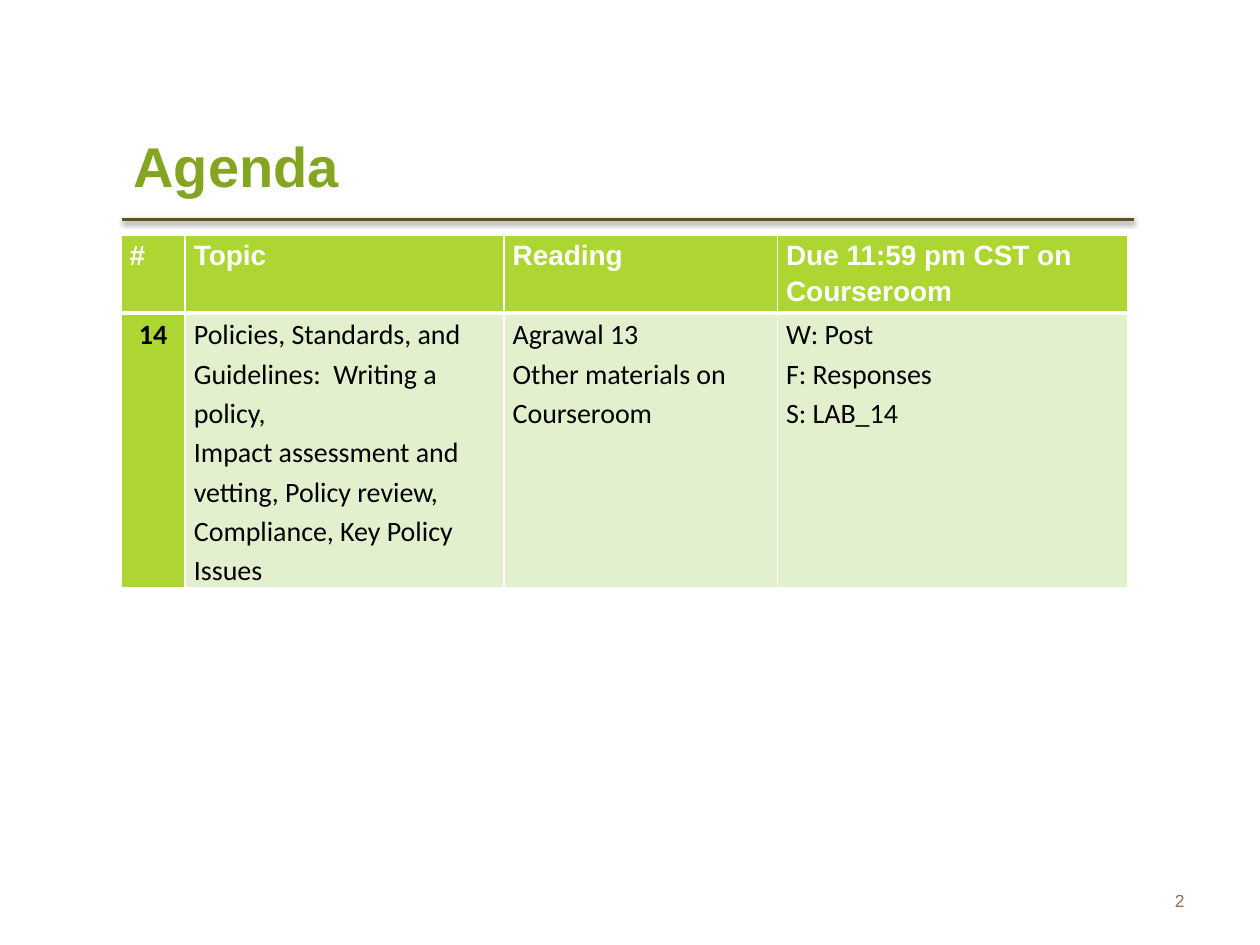
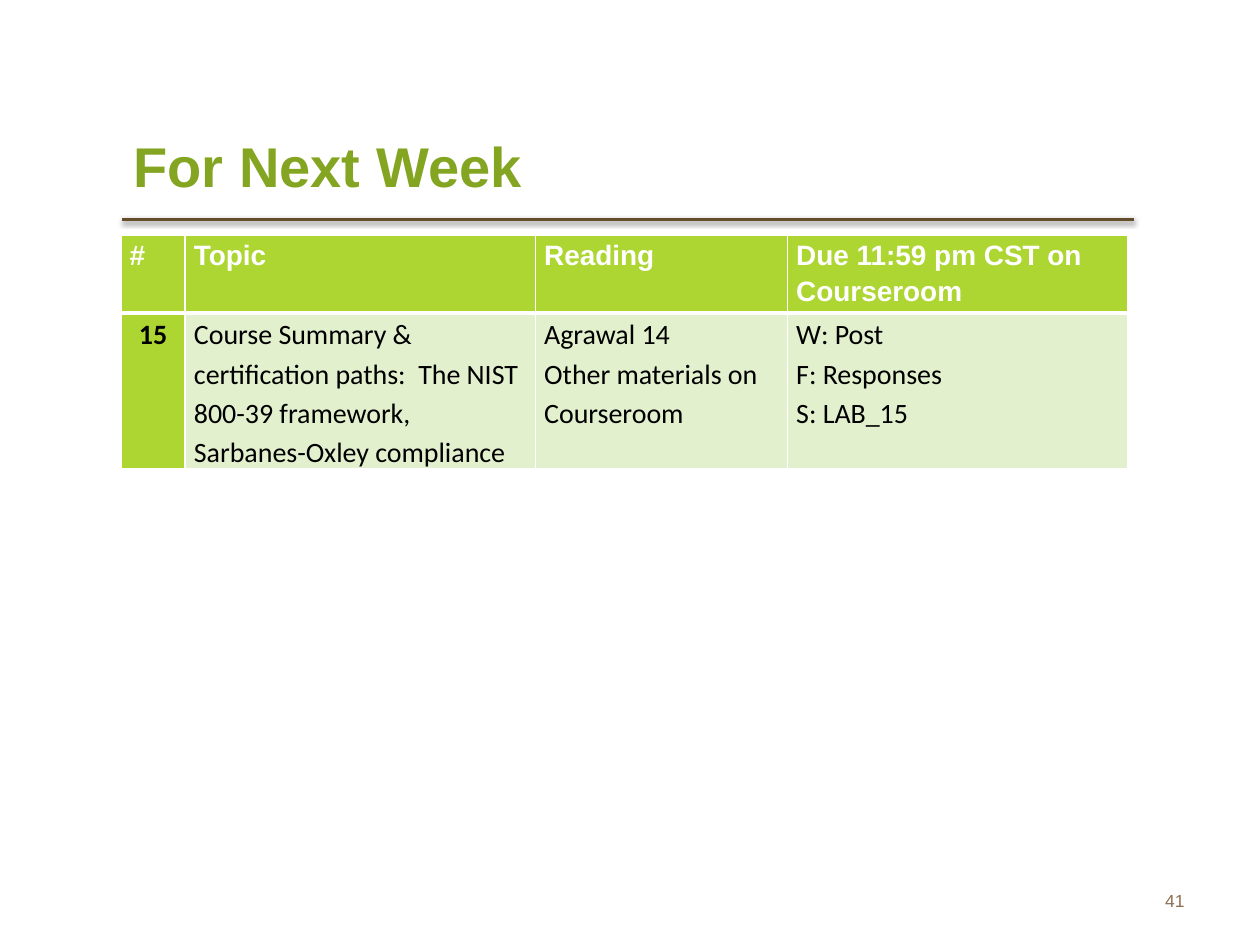
from lxml.etree import SubElement as Sub
from pptx import Presentation
from pptx.dml.color import RGBColor as RGB
from pptx.enum.shapes import MSO_CONNECTOR as Conn
from pptx.enum.text import MSO_ANCHOR as Anchor, PP_ALIGN as Align
from pptx.oxml.ns import qn
from pptx.util import Inches, Pt

# Shared colours and text styles
WHITE, LIME, PALE, BROWN = "FFFFFF", "ADD632", "E3F0CE", "634D2A"
TITLE = dict(name="Arial", size=Pt(32), bold=True, color="84A521")
NUMBER = dict(name="Arial", size=Pt(10), color="8F6F52")
HEAD = dict(name="Arial", size=Pt(16), bold=True, color=WHITE)
BODY = dict(name="Calibri", size=Pt(16), bold=False, color="000000")
WEEK = {**BODY, "bold": True}

# Shared places: left, top, width, height
TITLE_BOX = (0.96, 0.86, 5.77, 0.9)
RULE_BOX = (0.97, 1.74, 8.03, 0)
NUMBER_BOX = (7.17, 6.95, 2.33, 0.4)
TABLE_AT = (0.96, 1.87)
HEAD_HIGH = 0.56

HEADS = ["#", "Topic", "Reading", "Due 11:59 pm CST on Courseroom"]
SLIDES = [
    dict(title="Agenda", page="2", cols=[0.51, 2.53, 2.17, 2.78], high=2.18,
         row=["14",
              "Policies, Standards, and Guidelines:  Writing a policy,\n"
              "Impact assessment and vetting, Policy review, "
              "Compliance, Key Policy Issues",
              "Agrawal 13\nOther materials on Courseroom",
              "W: Post\nF: Responses\nS: LAB_14"]),
    dict(title="For Next Week", page="41", cols=[0.51, 2.78, 2, 2.7], high=1.24,
         row=["15",
              "Course Summary & certification paths:  The NIST 800-39 "
              "framework, Sarbanes-Oxley compliance",
              "Agrawal 14\nOther materials on Courseroom",
              "W: Post\nF: Responses\nS: LAB_15"]),
]


def paint(target, color):
    """Give a font, line or fill its solid colour."""
    if hasattr(target, "solid"):
        target.solid()
        target.fore_color.rgb = RGB.from_string(color)
    else:
        target.color.rgb = RGB.from_string(color)


def write(frame, text, style, align=Align.LEFT, space=None):
    """Fill a text frame, one paragraph for each line of text."""
    frame.text = text
    frame.word_wrap = True
    for para in frame.paragraphs:
        para.alignment = align
        para.line_spacing = space
        for run in para.runs:
            for key, value in style.items():
                if key == "color":
                    paint(run.font, value)
                else:
                    setattr(run.font, key, value)


def add_title(slide, box, text):
    shape = slide.shapes.title
    shape.left, shape.top, shape.width, shape.height = map(Inches, box)
    write(shape.text_frame, text, TITLE)
    shape.text_frame.vertical_anchor = Anchor.MIDDLE


def add_rule(slide, box):
    left, top, width, height = map(Inches, box)
    rule = slide.shapes.add_connector(
        Conn.STRAIGHT, left, top, left + width, top + height)
    paint(rule.line, BROWN)
    rule.line.width = Pt(1.75)
    # Soft shadow straight below the rule
    effects = Sub(rule._element.spPr, qn("a:effectLst"))
    shadow = Sub(effects, qn("a:outerShdw"), blurRad=str(Pt(3.1)),
                 dist=str(Pt(1.6)), dir="5400000", rotWithShape="0")
    black = Sub(shadow, qn("a:srgbClr"), val="000000")
    Sub(black, qn("a:alpha"), val="38000")


def add_number(slide, box, text):
    shape = slide.shapes.add_textbox(*map(Inches, box))
    write(shape.text_frame, text, NUMBER, Align.RIGHT)
    shape.text_frame.vertical_anchor = Anchor.MIDDLE


def add_border(cell, widths):
    """Draw white borders; widths maps each side to points."""
    props = cell._tc.get_or_add_tcPr()
    for side, width in widths.items():
        line = Sub(props, qn("a:ln" + side), w=str(Pt(width)))
        fill = Sub(line, qn("a:solidFill"))
        Sub(fill, qn("a:srgbClr"), val=WHITE)


def add_table(slide, at, cols, high, row):
    left, top = at
    heights = [HEAD_HIGH, high]
    table = slide.shapes.add_table(
        2, len(cols), *map(Inches, (left, top, sum(cols), sum(heights)))).table
    for col, width in zip(table.columns, cols):
        col.width = Inches(width)
    for line, height in zip(table.rows, heights):
        line.height = Inches(height)
    for r, texts in enumerate([HEADS, row]):
        for c, text in enumerate(texts):
            cell = table.cell(r, c)
            week = r == 1 and c == 0
            margins = dict(margin_left=0.07, margin_right=0.07,
                           margin_top=0, margin_bottom=0)
            for key, value in margins.items():
                setattr(cell, key, Inches(value))
            # The body's top border is the thick line below the head
            add_border(cell, dict(L=1, R=1, T=3, B=1) if r
                       else dict(L=1, R=1, T=1))
            paint(cell.fill, PALE if r and c else LIME)
            style = HEAD if r == 0 else WEEK if week else BODY
            write(cell.text_frame, text, style,
                  Align.CENTER if week else Align.LEFT, 1.15)


def add_slide(deck, title, page, **plan):
    slide = deck.slides.add_slide(deck.slide_layouts[5])
    add_rule(slide, RULE_BOX)
    add_number(slide, NUMBER_BOX, page)
    add_title(slide, TITLE_BOX, title)
    add_table(slide, TABLE_AT, **plan)


def main():
    deck = Presentation()
    deck.slide_width, deck.slide_height = Inches(10), Inches(7.5)
    for plan in SLIDES:
        add_slide(deck, **plan)
    deck.save("out.pptx")


if __name__ == "__main__":
    main()
